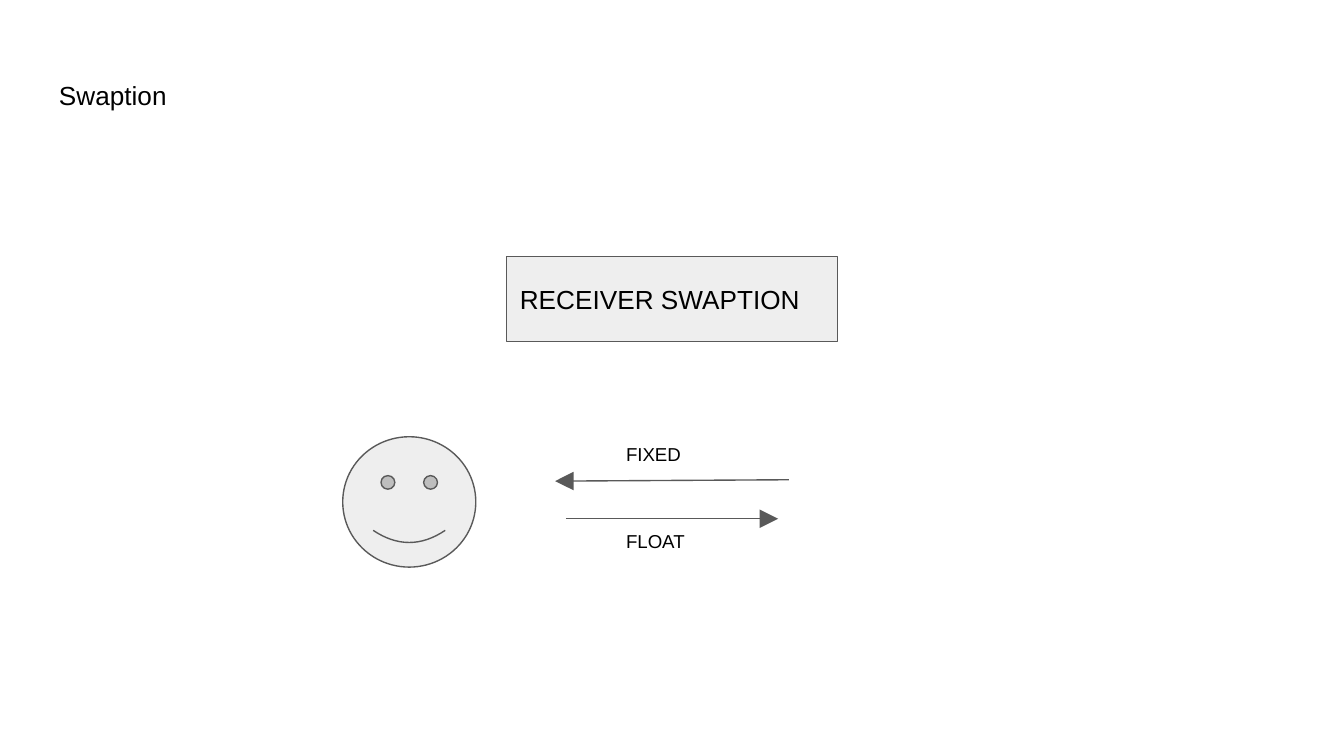
import pptx
import pptx.util
import pptx.dml.color
import pptx.enum.shapes
import pptx.enum.text
import pptx.oxml.ns
import lxml.etree

Inches = pptx.util.Inches
Pt = pptx.util.Pt
RGBColor = pptx.dml.color.RGBColor
Shape = pptx.enum.shapes.MSO_SHAPE
Anchor = pptx.enum.text.MSO_ANCHOR
Align = pptx.enum.text.PP_ALIGN
qn = pptx.oxml.ns.qn

BLACK = RGBColor(0x00, 0x00, 0x00)
GRAY = RGBColor(0x59, 0x59, 0x59)
PALE = RGBColor(0xEE, 0xEE, 0xEE)


def write(shape, text, size, anchor=Anchor.TOP):
    frame = shape.text_frame
    frame.word_wrap = True
    frame.vertical_anchor = anchor
    frame.margin_left = frame.margin_right = Inches(0.1)
    frame.margin_top = frame.margin_bottom = Inches(0.1)
    para = frame.paragraphs[0]
    para.text = text
    para.alignment = Align.LEFT
    para.font.name = "Arial"
    para.font.size = Pt(size)
    para.font.color.rgb = BLACK


def add_label(slide, text, size, left, top, width, height):
    box = slide.shapes.add_textbox(
        Inches(left), Inches(top), Inches(width), Inches(height))
    write(box, text, size)


def add_figure(slide, kind, left, top, width, height):
    shape = slide.shapes.add_shape(
        kind, Inches(left), Inches(top), Inches(width), Inches(height))
    shape.shadow.inherit = False
    shape.fill.solid()
    shape.fill.fore_color.rgb = PALE
    shape.line.color.rgb = GRAY
    shape.line.width = Pt(0.75)
    return shape


def add_arrow(slide, x1, y1, x2, y2):
    arrow = slide.shapes.add_connector(
        pptx.enum.shapes.MSO_CONNECTOR.STRAIGHT,
        Inches(x1), Inches(y1), Inches(x2), Inches(y2))
    arrow.line.color.rgb = GRAY
    arrow.line.width = Pt(0.75)
    # Large arrowhead, no shadow
    props = arrow._element.spPr
    lxml.etree.SubElement(props.get_or_add_ln(), qn("a:tailEnd"),
                          type="triangle", w="lg", len="lg")
    lxml.etree.SubElement(props, qn("a:effectLst"))


def main():
    # Widescreen, 16 to 9
    deck = pptx.Presentation()
    deck.slide_width = Inches(10)
    deck.slide_height = deck.slide_width * 9 // 16
    slide = deck.slides.add_slide(deck.slide_layouts[6])

    # Title and heading box
    add_label(slide, "Swaption", 14, 0.34, 0.49, 9.32, 0.63)
    head = add_figure(slide, Shape.RECTANGLE, 3.77, 1.91, 2.46, 0.63)
    write(head, "RECEIVER SWAPTION", 14, Anchor.MIDDLE)

    # Cash flows: fixed comes in, float goes out
    add_arrow(slide, 5.87, 3.57, 4.13, 3.58)
    add_arrow(slide, 4.21, 3.86, 5.79, 3.86)
    for text, top in (("FIXED", 3.21), ("FLOAT", 3.86)):
        add_label(slide, text, 10, 4.56, top, 0.88, 0.23)

    # Holder
    face = add_figure(slide, Shape.SMILEY_FACE, 2.55, 3.25, 0.99, 0.97)
    face.adjustments[0] = 0.047

    deck.save("out.pptx")


main()
